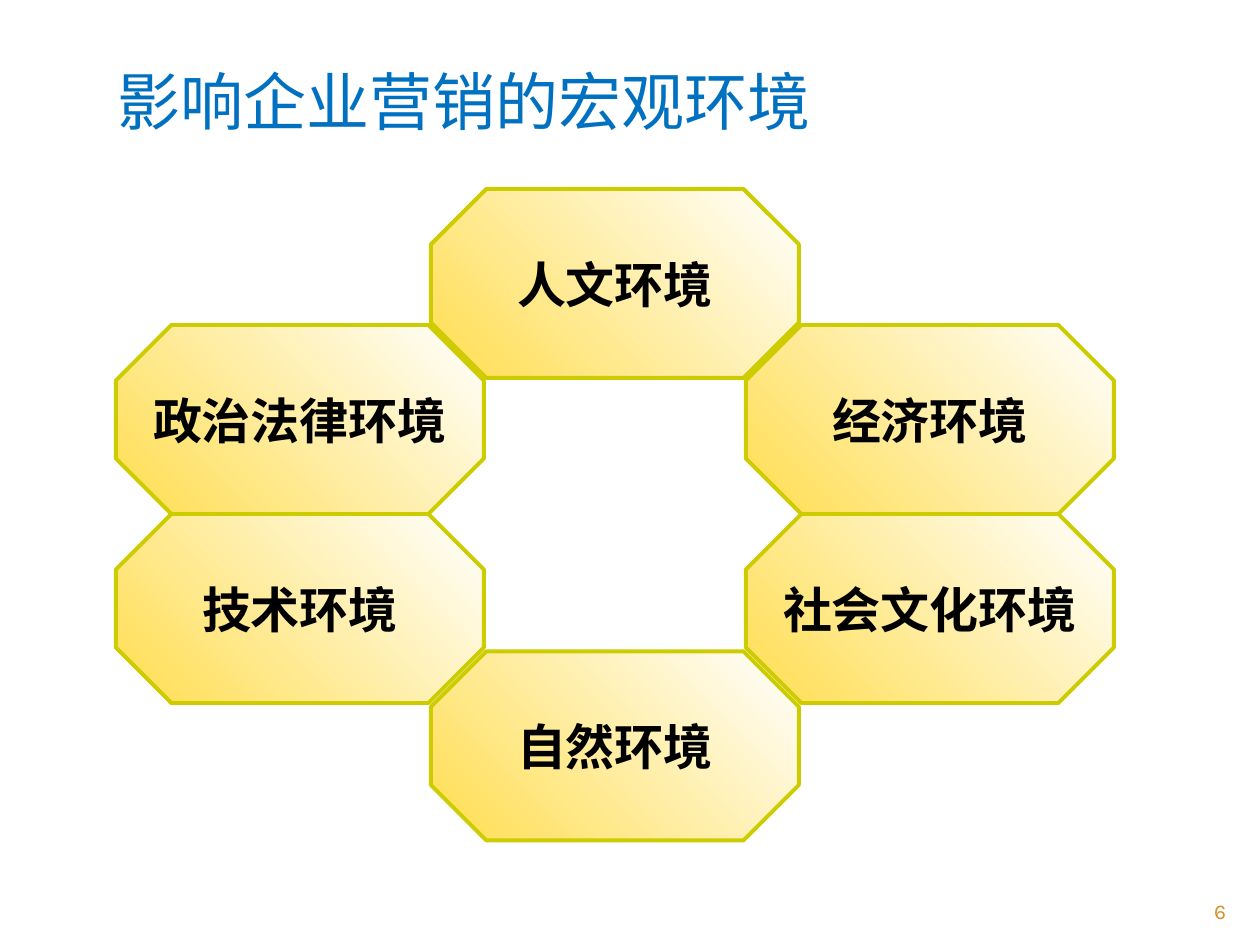
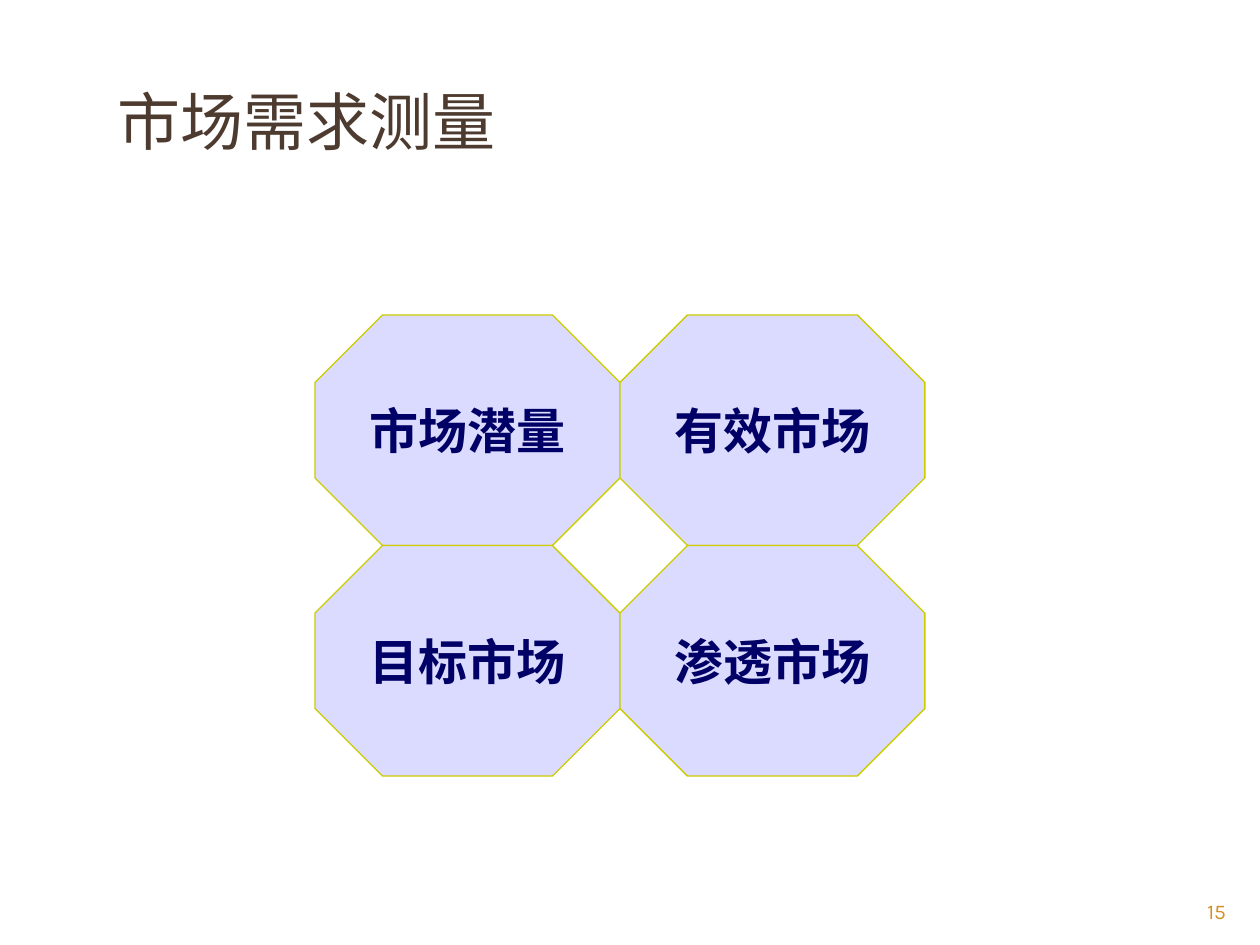
from lxml.etree import SubElement
from pptx import Presentation
from pptx.dml.color import RGBColor
from pptx.enum.shapes import MSO_SHAPE
from pptx.enum.text import MSO_ANCHOR, MSO_AUTO_SIZE, PP_ALIGN
from pptx.oxml.ns import qn
from pptx.util import Inches, Pt

COLORS = {
    "title_blue": "0070C0",
    "title_brown": "4E3B30",
    "number": "D48F29",
    "outline": "CCCC00",
    "gold": "FFDD4F",
    "white": "FFFFFF",
    "lavender": "DBDBFF",
    "navy": "000066",
    "black": "000000",
}
LATIN_FONT = "Karla"
CHINESE_FONT = "Noto Sans CJK SC"
TITLE_ONLY = 5
CORNER_CUT = 0.293


def rgb(name):
    return RGBColor.from_string(COLORS[name])


def write(frame, text, size, color, align, font=LATIN_FONT, bold=False):
    frame.text = text
    para = frame.paragraphs[0]
    para.alignment = align
    para.font.size = Pt(size)
    para.font.bold = bold
    para.font.color.rgb = rgb(color)
    para.font.name = font
    defaults = para._p.pPr.find(qn("a:defRPr"))
    SubElement(defaults, qn("a:ea")).set("typeface", CHINESE_FONT)


def place(shape, left, top, width, height):
    shape.left, shape.top = Inches(left), Inches(top)
    shape.width, shape.height = Inches(width), Inches(height)


def add_page(deck, title, title_top, title_color, number):
    page = deck.slides.add_slide(deck.slide_layouts[TITLE_ONLY])
    heading = page.shapes.title
    place(heading, 0.83, title_top, 8.42, 1.25)
    heading.text_frame.auto_size = MSO_AUTO_SIZE.NONE
    heading.text_frame.vertical_anchor = MSO_ANCHOR.MIDDLE
    write(heading.text_frame, title, 36, title_color, PP_ALIGN.LEFT, CHINESE_FONT)
    box = page.shapes.add_textbox(Inches(9), Inches(7.08), Inches(0.83), Inches(0.27))
    box.text_frame.word_wrap = True
    write(box.text_frame, str(number), 12, "number", PP_ALIGN.RIGHT)
    return page


def add_octagon(page, text, left, top, width, height, text_color, line_width):
    octagon = page.shapes.add_shape(
        MSO_SHAPE.OCTAGON, Inches(left), Inches(top), Inches(width), Inches(height))
    octagon.adjustments[0] = CORNER_CUT
    octagon.shadow.inherit = False
    octagon.line.color.rgb = rgb("outline")
    octagon.line.width = Pt(line_width)
    frame = octagon.text_frame
    frame.word_wrap = False
    frame.vertical_anchor = MSO_ANCHOR.MIDDLE
    write(frame, text, 28, text_color, PP_ALIGN.CENTER, bold=True)
    return octagon


def fill_gold(octagon):
    octagon.fill.gradient()
    octagon.fill.gradient_angle = 45
    for stop, color in zip(octagon.fill.gradient_stops, ("gold", "white")):
        stop.color.rgb = rgb(color)


def add_environment_ring(page, left, top):
    width, height, column_step = 2.92, 1.5, 2.5
    upper, lower, bottom = 1.08, 2.58, 3.67
    environments = [
        ("人文环境", 1, 0),
        ("经济环境", 2, upper),
        ("政治法律环境", 0, upper),
        ("社会文化环境", 2, lower),
        ("技术环境", 0, lower),
        ("自然环境", 1, bottom),
    ]
    for text, column, offset in environments:
        octagon = add_octagon(page, text, left + column * column_step, top + offset,
                              width, height, "black", 2.25)
        fill_gold(octagon)


def add_market_grid(page, left, top):
    width, height = 2.42, 1.83
    markets = [("市场潜量", "有效市场"), ("目标市场", "渗透市场")]
    for row, names in enumerate(markets):
        for column, text in enumerate(names):
            octagon = add_octagon(page, text, left + column * width, top + row * height,
                                  width, height, "navy", 0.75)
            octagon.fill.solid()
            octagon.fill.fore_color.rgb = rgb("lavender")


def main():
    deck = Presentation()
    deck.slide_width, deck.slide_height = Inches(10), Inches(7.5)
    page = add_page(deck, "影响企业营销的宏观环境", 0.17, "title_blue", 6)
    add_environment_ring(page, 0.92, 1.5)
    page = add_page(deck, "市场需求测量", 0.33, "title_brown", 15)
    add_market_grid(page, 2.5, 2.5)
    deck.save("out.pptx")


if __name__ == "__main__":
    main()
